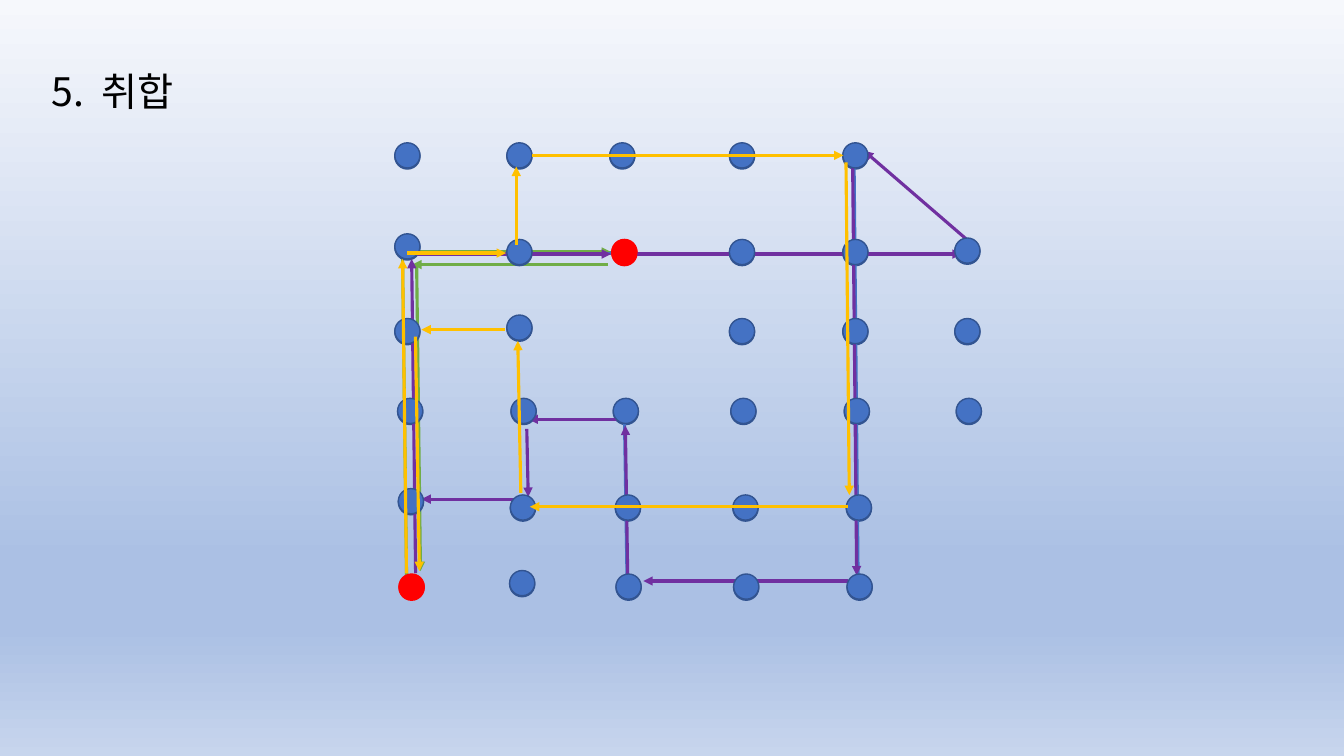
import math

import pptx
import pptx.dml.color
import pptx.enum.shapes
import pptx.enum.text
import pptx.oxml
import pptx.oxml.ns
import pptx.util
import lxml.etree

Pt = pptx.util.Pt
qn = pptx.oxml.ns.qn

THEME = {
    "font": "Noto Sans CJK KR", "title_size": 28, "line_width": 2.25, "node_line_width": 1,
    "text": "000000", "node": "4472C4", "node_line": "325491", "depot": "FF0000",
    "blue": "4472C4", "green": "70AD47", "purple": "7030A0", "yellow": "FFC000",
    "background": [(0, "F6F8FC"), (74, "ABC0E4"), (83, "ABC0E4"), (100, "C7D5ED")],
}

# Node grid: a node such as "B3" is column B, row 3; lower rows drift to the right
NODE_SIZE = 18
COLUMN_X = {"A": 291, "B": 371, "C": 446, "D": 530, "E": 611, "F": 691}
ROW_Y = {"1": 111, "2": 180, "3": 236.5, "4": 293.5, "5": 362.5, "6": 419}
ROW_DRIFT = {"1": 0, "2": 0, "3": 0, "4": 1, "5": 2.5, "6": 3}
ROW_COLUMNS = {"1": "ABCDE", "2": "ABCDEF", "3": "ABDEF",
               "4": "ABCDEF", "5": "ABCDE", "6": "ABCDE"}
DEPOTS = ("C2", "A6")
# Nodes that sit slightly off their grid point
NUDGES = {"C1": (-1.5, 0), "A2": (0, -4), "F2": (0, -1), "B3": (0, -2.5),
          "A4": (1, 0), "B4": (2, 0), "A5": (0, -4.5), "B6": (-1, -2.5)}

# A route is a start node and its legs: (next node, lane, leave, arrive).
# lane: shift to the right of travel; leave, arrive: gaps to the node centres
GREEN_ROUTE = ("A6", [("A2", -3.5, 6.5, -6.5), ("C2", 0, 0, 9.5),
                      ("A2", -9, 12, 3.5), ("A6", -6.5, 9.5, 11)])
PURPLE_ROUTE = ("A6", [("A2", 3, 9.5, 5), ("C2", 1.5, 0, 9.5), ("F2", 1.5, 8.5, 4),
                       ("E1", 6.5, 7, 2.5), ("E6", 2, 5, 8), ("C6", 4, 8.5, 10.5),
                       ("C4", -0.5, 8, 10.5), ("B4", -6, 0.5, 5.5),
                       ("B5", -4, 13, 7.5), ("A5", 6, 1.5, 7.5)])
YELLOW_ROUTE = ("A6", [("A2", -3.5, 9.5, 5), ("B2", 0.75, 0, 9.5), ("B1", -2.25, 5, 8),
                       ("E1", 0, 9, 8.5), ("E5", 6.75, 5, 9), ("B5", 0.5, 8, 5),
                       ("B3", -1.25, 10.5, 7), ("A3", 1, 10.5, 10), ("A6", -5.75, 4, 11)])
# Plain links without arrowheads
LINK_UNDER = ("A2", [("C2", 0.5, -6, 9.5)])
LINKS_OVER = [("C4", [("C6", 1, -3.5, -1.5)]), ("E1", [("E6", 1, -6.5, 8)]),
              ("A2", [("C2", 1, -6, 9.5), ("F2", 1, 8.5, 4)])]


def rgb(value):
    return pptx.dml.color.RGBColor.from_string(value)


def set_attrs(obj, values):
    for name, value in values.items():
        setattr(obj, name, value)


def grid_point(node):
    column, row = node
    return COLUMN_X[column] + ROW_DRIFT[row], ROW_Y[row]


def leg_ends(start, end, lane, leave, arrive):
    """Shorten the line between two grid points and shift it into its lane."""
    (x1, y1), (x2, y2) = grid_point(start), grid_point(end)
    length = math.hypot(x2 - x1, y2 - y1)
    ux, uy = (x2 - x1) / length, (y2 - y1) / length
    shift_x, shift_y = -uy * lane, ux * lane
    return (x1 + ux * leave + shift_x, y1 + uy * leave + shift_y,
            x2 - ux * arrive + shift_x, y2 - uy * arrive + shift_y)


def set_background(slide, stops):
    fill = slide.background.fill
    fill.gradient()
    fill.gradient_angle = 270
    gs_list = slide.element.find(".//" + qn("a:gsLst"))
    for gs in list(gs_list):
        gs_list.remove(gs)
    for percent, color in stops:
        gs = lxml.etree.SubElement(gs_list, qn("a:gs"), pos=str(percent * 1000))
        lxml.etree.SubElement(gs, qn("a:srgbClr"), val=color)


def add_heading(slide, text, hang=Pt(36)):
    title = slide.shapes.title
    title.element.getparent().remove(title.element)
    sp = slide.placeholders[1]
    set_attrs(sp, {"left": Pt(29.5), "top": Pt(48), "width": Pt(828), "height": Pt(463)})
    tf = sp.text_frame
    set_attrs(tf, {"word_wrap": True, "vertical_anchor": pptx.enum.text.MSO_ANCHOR.TOP})
    p = tf.paragraphs[0]
    set_attrs(p, {"line_spacing": 0.9, "space_before": Pt(10),
                  "alignment": pptx.enum.text.PP_ALIGN.LEFT})
    r = p.add_run()
    r.text = text
    set_attrs(r.font, {"name": THEME["font"], "size": Pt(THEME["title_size"])})
    r.font.color.rgb = rgb(THEME["text"])
    lxml.etree.SubElement(r.font._element, qn("a:ea"), typeface=THEME["font"])
    # The number hangs in front of the heading
    pPr = p._p.get_or_add_pPr()
    pPr.set("marL", str(hang))
    pPr.set("indent", str(-hang))
    lxml.etree.SubElement(pPr, qn("a:buNone"))


def add_node(slide, node, drop):
    x, y = grid_point(node)
    dx, dy = NUDGES.get(node, (0, 0))
    left, top = x + dx - NODE_SIZE / 2, y + dy + drop - NODE_SIZE / 2
    fill, line = ("depot", "depot") if node in DEPOTS else ("node", "node_line")
    sp = slide.shapes.add_shape(pptx.enum.shapes.MSO_SHAPE.OVAL,
                                Pt(left), Pt(top), Pt(NODE_SIZE), Pt(NODE_SIZE))
    sp.shadow.inherit = False
    sp.fill.solid()
    sp.fill.fore_color.rgb = rgb(THEME[fill])
    sp.line.color.rgb = rgb(THEME[line])
    sp.line.width = Pt(THEME["node_line_width"])


def add_nodes(slide, drop):
    for row, columns in ROW_COLUMNS.items():
        for column in columns:
            add_node(slide, column + row, drop)


def add_leg(slide, ends, color, arrow):
    cxn = slide.shapes.add_connector(pptx.enum.shapes.MSO_CONNECTOR.STRAIGHT,
                                     *[Pt(v) for v in ends])
    cxn.line.color.rgb = rgb(THEME[color])
    cxn.line.width = Pt(THEME["line_width"])
    if arrow:
        lxml.etree.SubElement(cxn.line._get_or_add_ln(), qn("a:tailEnd"), type="triangle")
    lxml.etree.SubElement(cxn._element.spPr, qn("a:effectLst"))


def add_route(slide, route, color, arrow=True):
    start, legs = route
    for end, lane, leave, arrive in legs:
        add_leg(slide, leg_ends(start, end, lane, leave, arrive), color, arrow)
        start = end


def main():
    prs = pptx.Presentation()
    set_attrs(prs, {"slide_width": Pt(960), "slide_height": Pt(540)})
    slide = prs.slides.add_slide(prs.slide_layouts[1])
    set_background(slide, THEME["background"])
    add_heading(slide, "5.\t취합")

    # First layer: green route under the nodes
    add_route(slide, LINK_UNDER, "blue", arrow=False)
    add_route(slide, GREEN_ROUTE, "green")
    add_nodes(slide, drop=0.75)

    # Second layer: purple route between the two sets of nodes
    for link in LINKS_OVER:
        add_route(slide, link, "blue", arrow=False)
    add_route(slide, PURPLE_ROUTE, "purple")
    add_nodes(slide, drop=0)

    # Top layer: yellow route
    add_route(slide, YELLOW_ROUTE, "yellow")
    prs.save("out.pptx")


main()
